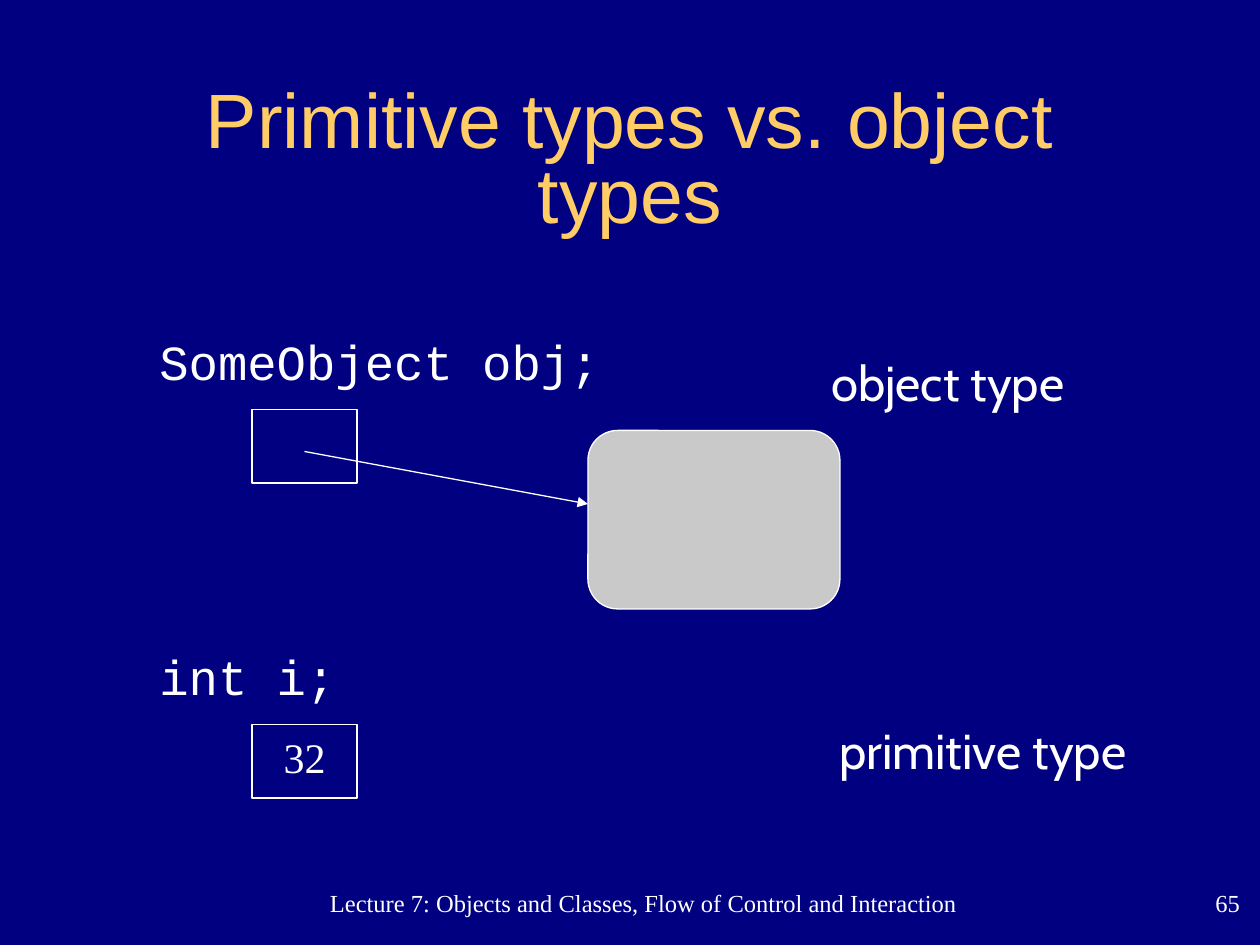
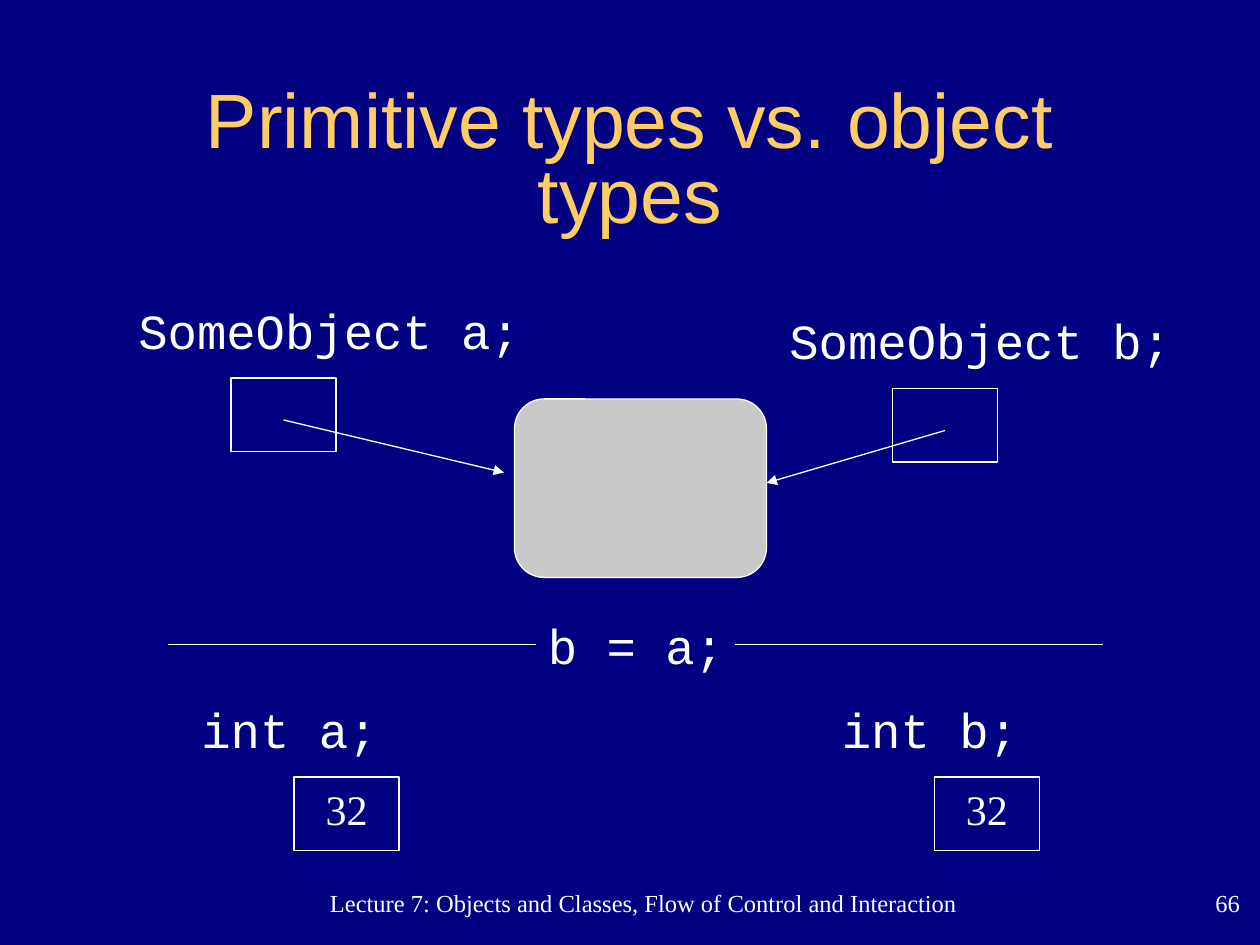
from pptx import Presentation
from pptx.dml.color import RGBColor
from pptx.enum.shapes import MSO_CONNECTOR, MSO_SHAPE
from pptx.enum.text import MSO_ANCHOR, PP_ALIGN
from pptx.oxml.ns import qn
from pptx.util import Pt
from lxml.etree import SubElement

COLORS = {"background": "000080", "title": "FFCC66", "text": "FFFFFF", "object": "C9C9C9"}
STYLES = {
    "title": ("Arial", 44, "title", PP_ALIGN.CENTER, 0.81),
    "code": ("Courier New", 28, "text", PP_ALIGN.LEFT, 1.0),
    "label": ("Cabin", 28, "text", PP_ALIGN.LEFT, 1.0),
    "value": ("Times New Roman", 24, "text", PP_ALIGN.CENTER, 0.8),
    "footer": ("Times New Roman", 14, "text", PP_ALIGN.CENTER, 0.8),
    "number": ("Times New Roman", 14, "text", PP_ALIGN.RIGHT, 0.8),
}
TITLE = "Primitive types vs. object types"
FOOTER = "Lecture 7: Objects and Classes, Flow of Control and Interaction"
LABEL_HEIGHT = 41
CELL_WIDTH, CELL_HEIGHT, CELL_DROP = 60, 42, 48
OBJECT_WIDTH, OBJECT_HEIGHT = 144, 102

SLIDES = [
    {
        "number": "65",
        "object": (336, 246),
        "variables": [
            ("SomeObject obj;", 84, 186, 282, 144, None, 336),
            ("int i;", 84, 366, 282, 144, "32", None),
        ],
        "labels": [("object type", 468, 198, 159), ("primitive type", 472.5, 408, 195)],
        "assignment": None,
    },
    {
        "number": "66",
        "object": (294, 228),
        "variables": [
            ("SomeObject a;", 72, 168, 282, 132, None, 288),
            ("int a;", 108, 396, 162, 168, "32", None),
            ("SomeObject b;", 444, 174, 234, 510, None, 438),
            ("int b;", 474, 396, 162, 534, "32", None),
        ],
        "labels": [],
        "assignment": ("b = a;", 306, 348, 162),
    },
]


def write(box, text, style, wrap=True):
    font, size, color, align, spacing = STYLES[style]
    frame = box.text_frame
    frame.word_wrap = wrap
    if style in ("title", "value"):
        frame.vertical_anchor = MSO_ANCHOR.MIDDLE
    if style in ("footer", "number"):
        frame.margin_left = frame.margin_right = frame.margin_top = frame.margin_bottom = 0
    para = frame.paragraphs[0]
    para.alignment = align
    para.line_spacing = spacing
    span = para.add_run()
    span.text = text
    span.font.name = font
    span.font.size = Pt(size)
    span.font.color.rgb = RGBColor.from_string(COLORS[color])
    return box


def draw_line(page, start, end, arrow=False):
    line = page.shapes.add_connector(MSO_CONNECTOR.STRAIGHT, *map(Pt, start + end))
    line.line.color.rgb = RGBColor.from_string(COLORS["text"])
    line.line.width = Pt(0.75)
    if arrow:
        SubElement(line.line._get_or_add_ln(), qn("a:tailEnd"), type="triangle")
    SubElement(line._element.spPr, qn("a:effectLst"))
    return line


deck = Presentation()
deck.slide_width, deck.slide_height = Pt(720), Pt(540)

for content in SLIDES:
    page = deck.slides.add_slide(deck.slide_layouts[6])
    page.background.fill.solid()
    page.background.fill.fore_color.rgb = RGBColor.from_string(COLORS["background"])

    for text, style, area in [
        (TITLE, "title", (54, 46.8, 612, 92.9)),
        (FOOTER, "footer", (155.5, 510.5, 424.8, 18)),
        (content["number"], "number", (605.5, 510.5, 103, 18.7)),
    ]:
        write(page.shapes.add_textbox(*map(Pt, area)), text, style)

    instance = page.shapes.add_shape(
        MSO_SHAPE.ROUNDED_RECTANGLE, *map(Pt, content["object"] + (OBJECT_WIDTH, OBJECT_HEIGHT)))
    instance.shadow.inherit = False
    instance.fill.solid()
    instance.fill.fore_color.rgb = RGBColor.from_string(COLORS["object"])
    instance.line.color.rgb = RGBColor.from_string(COLORS["text"])
    instance.line.width = Pt(0.75)

    for declaration, left, top, width, cell_left, value, arrow_end in content["variables"]:
        box = page.shapes.add_textbox(Pt(left), Pt(top), Pt(width), Pt(LABEL_HEIGHT))
        write(box, declaration, "code")
        cell_top = top + CELL_DROP
        cell = page.shapes.add_shape(
            MSO_SHAPE.RECTANGLE, Pt(cell_left), Pt(cell_top), Pt(CELL_WIDTH), Pt(CELL_HEIGHT))
        cell.shadow.inherit = False
        cell.fill.background()
        cell.line.color.rgb = RGBColor.from_string(COLORS["text"])
        cell.line.width = Pt(0.75)
        if value:
            write(cell, value, "value", wrap=False)
        if arrow_end:
            start = (cell_left + CELL_WIDTH / 2, cell_top + 24)
            draw_line(page, start, (arrow_end, start[1] + 30), arrow=True)

    for text, left, top, width in content["labels"]:
        box = page.shapes.add_textbox(Pt(left), Pt(top), Pt(width), Pt(LABEL_HEIGHT))
        write(box, text, "label", wrap=False)

    if content["assignment"]:
        text, left, top, width = content["assignment"]
        box = page.shapes.add_textbox(Pt(left), Pt(top), Pt(width), Pt(LABEL_HEIGHT))
        write(box, text, "code")
        middle = top + LABEL_HEIGHT / 2
        draw_line(page, (left, middle), (96, middle)).begin_connect(box, 1)
        draw_line(page, (630, middle), (420, middle))

deck.save("out.pptx")
